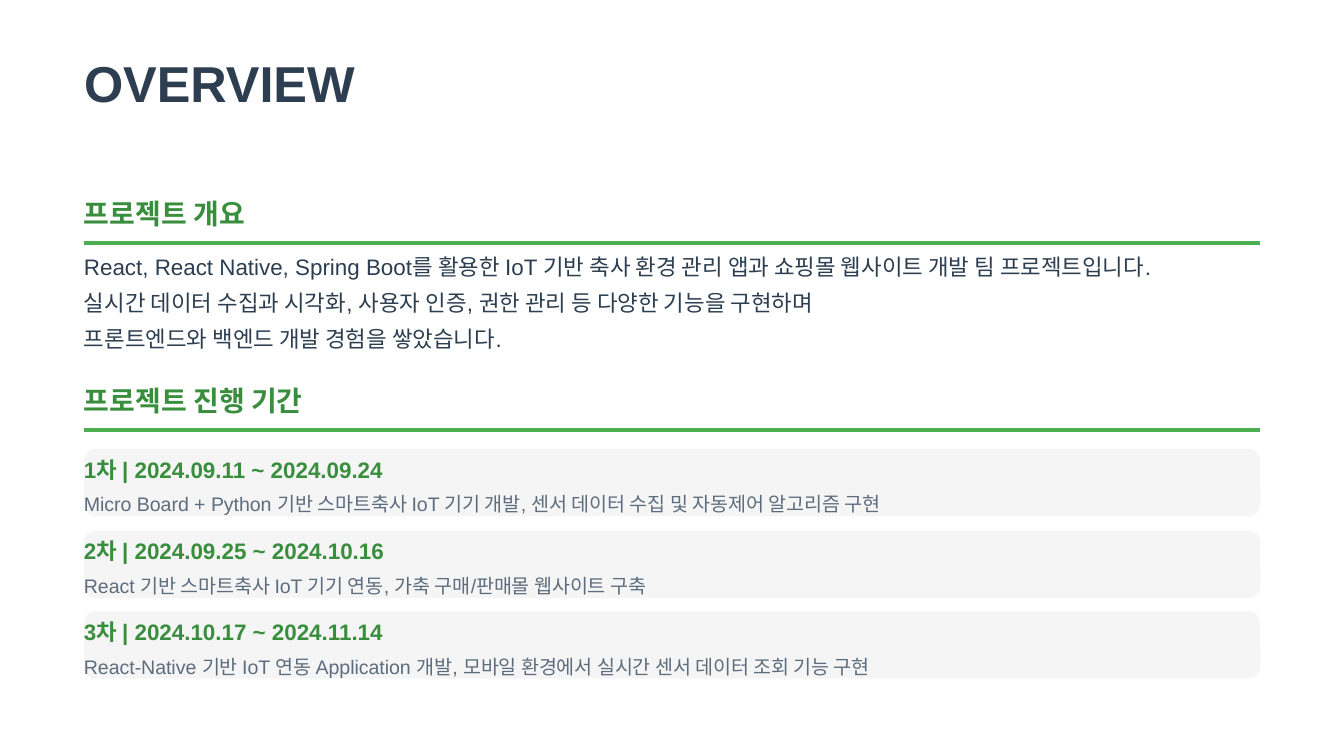
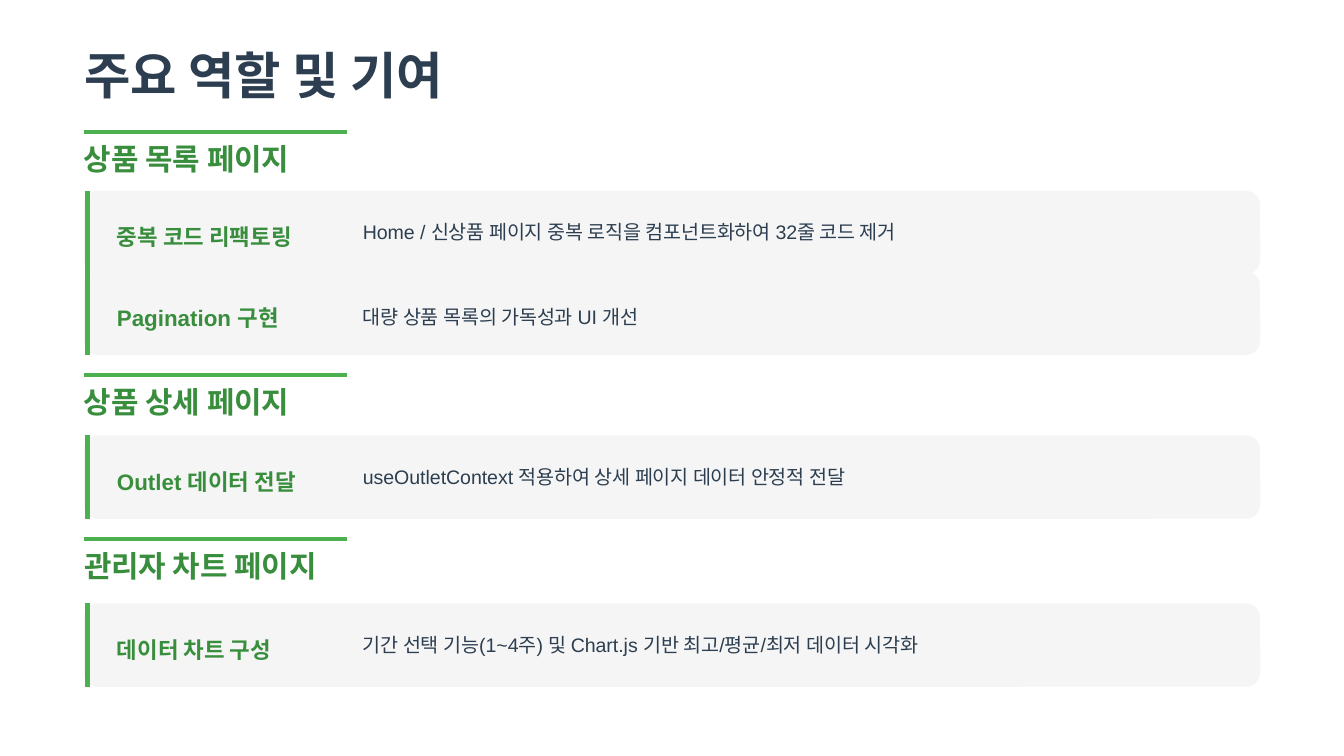
from lxml import etree
from pptx import Presentation
from pptx.dml.color import RGBColor
from pptx.enum.shapes import MSO_CONNECTOR, MSO_SHAPE
from pptx.enum.text import MSO_ANCHOR, MSO_AUTO_SIZE, PP_ALIGN
from pptx.oxml.ns import qn
from pptx.util import Inches, Pt

FONT = "Arial"
NAVY = RGBColor(0x2C, 0x3E, 0x50)
SLATE = RGBColor(0x5D, 0x6D, 0x7E)
GREEN = RGBColor(0x4C, 0xAF, 0x50)
DARK_GREEN = RGBColor(0x38, 0x8E, 0x3C)
LIGHT_GRAY = RGBColor(0xF5, 0xF5, 0xF5)

SLIDE_WIDTH = 10
SLIDE_HEIGHT = SLIDE_WIDTH * 9 / 16
LEFT = SLIDE_WIDTH / 16
CARD_WIDTH = SLIDE_WIDTH - 2 * LEFT
TEXT_WIDTH = 8.93

OVERVIEW_TITLE = "OVERVIEW"
OVERVIEW_HEADINGS = [(1.42, "프로젝트 개요"), (2.81, "프로젝트 진행 기간")]
SUMMARY = [
    "React, React Native, Spring Boot를 활용한 IoT 기반 축사 환경 관리 앱과 쇼핑몰 웹사이트 개발 팀 프로젝트입니다.",
    "실시간 데이터 수집과 시각화, 사용자 인증, 권한 관리 등 다양한 기능을 구현하며",
    "프론트엔드와 백엔드 개발 경험을 쌓았습니다.",
]
# top, period, work done
PHASES = [
    (3.34, "1차 | 2024.09.11 ~ 2024.09.24",
     "Micro Board + Python 기반 스마트축사 IoT 기기 개발, 센서 데이터 수집 및 자동제어 알고리즘 구현"),
    (3.95, "2차 | 2024.09.25 ~ 2024.10.16",
     "React 기반 스마트축사 IoT 기기 연동, 가축 구매/판매몰 웹사이트 구축"),
    (4.55, "3차 | 2024.10.17 ~ 2024.11.14",
     "React-Native 기반 IoT 연동 Application 개발, 모바일 환경에서 실시간 센서 데이터 조회 기능 구현"),
]

ROLES_TITLE = "주요 역할 및 기여"
# top of the rule, heading, heading width
ROLE_HEADINGS = [
    (0.98, "상품 목록 페이지", 1.7),
    (2.79, "상품 상세 페이지", 1.7),
    (4.01, "관리자 차트 페이지", 2.08),
]
# top, label, description, offset of the description from the top
ROLES = [
    (1.42, "중복 코드 리팩토링", "Home / 신상품 페이지 중복 로직을 컴포넌트화하여 32줄 코드 제거", 0.16),
    (2.02, "Pagination 구현", "대량 상품 목록의 가독성과 UI 개선", 0.19),
    (3.24, "Outlet 데이터 전달", "useOutletContext 적용하여 상세 페이지 데이터 안정적 전달", 0.16),
    (4.49, "데이터 차트 구성", "기간 선택 기능(1~4주) 및 Chart.js 기반 최고/평균/최저 데이터 시각화", 0.16),
]


def fill_text(box, lines, size, color, leading, bold=False, after=None, anchor=MSO_ANCHOR.TOP):
    frame = box.text_frame
    frame.word_wrap = True
    frame.auto_size = MSO_AUTO_SIZE.NONE
    frame.vertical_anchor = anchor
    frame.margin_left = frame.margin_right = frame.margin_top = frame.margin_bottom = 0
    for index, line in enumerate(lines):
        para = frame.add_paragraph() if index else frame.paragraphs[0]
        para.alignment = PP_ALIGN.LEFT
        para.line_spacing = Pt(leading)
        if after:
            para.space_after = Pt(after)
        span = para.add_run()
        span.text = line
        span.font.name = FONT
        span.font.size = Pt(size)
        span.font.bold = bold
        span.font.color.rgb = color


def add_text(page, text, left, top, width, height, **style):
    """Add a text box; text is one string or a list of paragraphs."""
    box = page.shapes.add_textbox(Inches(left), Inches(top), Inches(width), Inches(height))
    fill_text(box, [text] if isinstance(text, str) else text, **style)


def add_line(page, x1, y1, x2, y2, weight=2.25):
    line = page.shapes.add_connector(
        MSO_CONNECTOR.STRAIGHT, Inches(x1), Inches(y1), Inches(x2), Inches(y2))
    line.line.color.rgb = GREEN
    line.line.width = Pt(weight)
    etree.SubElement(line._element.spPr, qn("a:effectLst"))


def add_card(page, top, height):
    card = page.shapes.add_shape(
        MSO_SHAPE.ROUNDED_RECTANGLE, Inches(LEFT), Inches(top), Inches(CARD_WIDTH), Inches(height))
    card.adjustments[0] = 0.167
    card.shadow.inherit = False
    card.fill.solid()
    card.fill.fore_color.rgb = LIGHT_GRAY
    card.line.fill.background()


def add_page(deck, title, title_top):
    page = deck.slides.add_slide(deck.slide_layouts[5])
    box = page.shapes.title
    box.left, box.top = Inches(LEFT), Inches(title_top)
    box.width, box.height = Inches(4.47), Inches(0.42)
    fill_text(box, [title], size=27, color=NAVY, leading=30, bold=True)
    return page


def build_overview(deck):
    page = add_page(deck, OVERVIEW_TITLE, 0.42)
    for top, heading in OVERVIEW_HEADINGS:
        add_line(page, LEFT, top + 0.39, LEFT + CARD_WIDTH, top + 0.39)
        add_text(page, heading, LEFT, top, TEXT_WIDTH, 0.29,
                 size=15, color=DARK_GREEN, leading=21, bold=True)
    add_text(page, SUMMARY, LEFT, 1.82, TEXT_WIDTH, 0.8, size=12, color=NAVY, leading=19.2)
    for top, period, work in PHASES:
        add_card(page, top, 0.5)
        add_text(page, period, LEFT, top, TEXT_WIDTH, 0.25,
                 size=12, color=DARK_GREEN, leading=18, bold=True, after=3)
        add_text(page, work, LEFT, top + 0.29, TEXT_WIDTH, 0.21,
                 size=10.5, color=SLATE, leading=15)


def build_roles(deck):
    page = add_page(deck, ROLES_TITLE, 0.36)
    label_style = dict(color=DARK_GREEN, leading=18, bold=True, anchor=MSO_ANCHOR.MIDDLE)
    for top, label, description, offset in ROLES:
        add_card(page, top, 0.62)
        add_line(page, 0.65, top, 0.65, top + 0.62, weight=3)
        add_text(page, label, 0.87, top + 0.16, 1.7, 0.31, size=12, **label_style)
        add_text(page, description, 2.7, top + offset, 6.59, 0.26,
                 size=10.5, color=NAVY, leading=15, anchor=MSO_ANCHOR.MIDDLE)
    for top, heading, width in ROLE_HEADINGS:
        add_text(page, heading, LEFT, top + 0.05, width, 0.31, size=16, **label_style)
        add_line(page, LEFT, top, 2.58, top)


def main():
    deck = Presentation()
    deck.slide_width, deck.slide_height = Inches(SLIDE_WIDTH), Inches(SLIDE_HEIGHT)
    build_overview(deck)
    build_roles(deck)
    deck.save("out.pptx")


if __name__ == "__main__":
    main()
